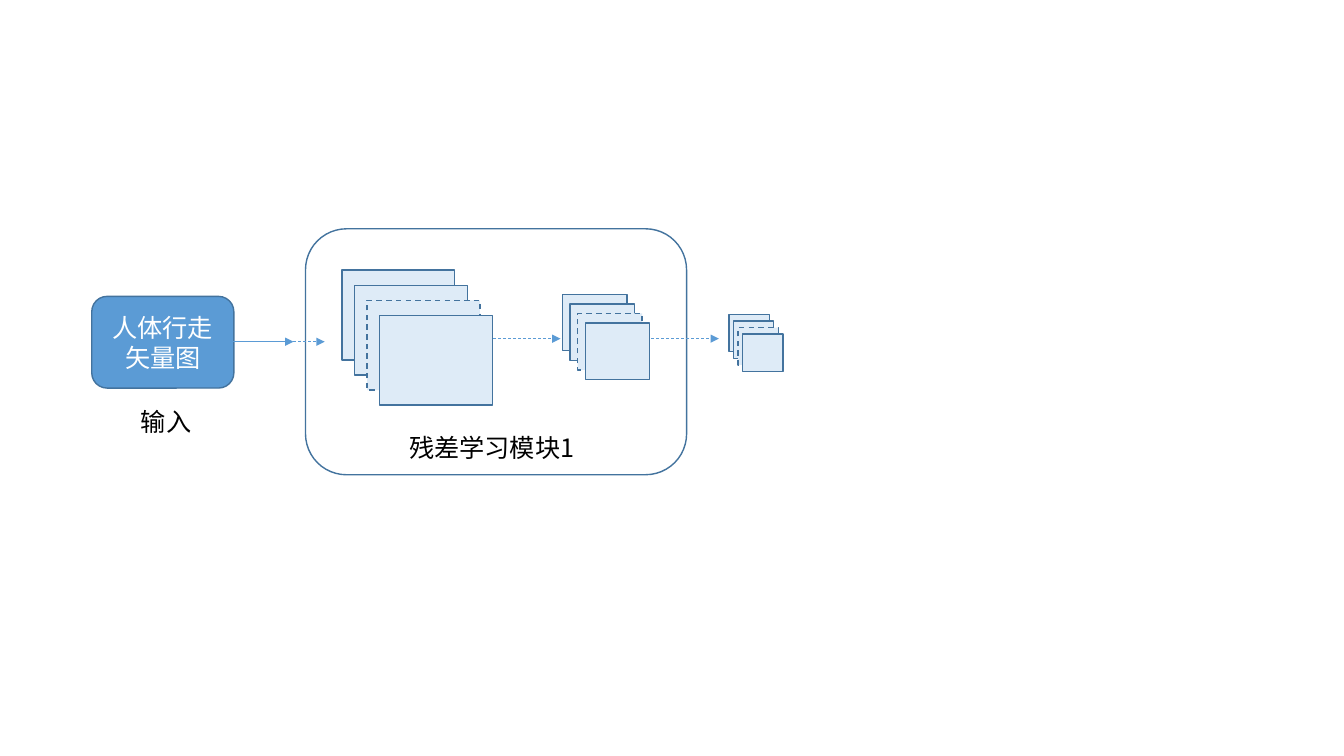
import pptx
import pptx.util
import pptx.dml.color
import pptx.enum.dml
import pptx.enum.shapes
import pptx.enum.text
import pptx.oxml
import pptx.oxml.ns

Inches = pptx.util.Inches
Pt = pptx.util.Pt
SHAPE = pptx.enum.shapes.MSO_SHAPE
DASH = pptx.enum.dml.MSO_LINE.DASH
FONT = "Noto Sans CJK SC"
COLORS = {"input": "5B9BD5", "outline": "43739E", "map": "DEEBF7",
          "arrow": "5B9BD5", "white": "FFFFFF", "black": "000000"}


def add_box(parent, kind, box, fill):
    shape = parent.add_shape(kind, *map(Inches, box))
    shape.shadow.inherit = False
    shape.fill.solid()
    shape.fill.fore_color.rgb = pptx.dml.color.RGBColor.from_string(COLORS[fill])
    shape.line.color.rgb = pptx.dml.color.RGBColor.from_string(COLORS["outline"])
    shape.line.width = Pt(1)
    return shape


def write(shape, text, color):
    """Put one 18 pt paragraph in the shape, with the font for Chinese too."""
    shape.text_frame.word_wrap = True
    shape.text_frame.text = text
    font = shape.text_frame.paragraphs[0].runs[0].font
    font.size = Pt(18)
    font.name = FONT
    font.color.rgb = pptx.dml.color.RGBColor.from_string(COLORS[color])
    east_asian = pptx.oxml.parse_xml(
        f'<a:ea {pptx.oxml.ns.nsdecls("a")} typeface="{FONT}"/>')
    font._element.find(pptx.oxml.ns.qn("a:latin")).addnext(east_asian)


prs = pptx.Presentation()
prs.slide_width = Inches(13.33)
prs.slide_height = Inches(7.5)
slide = prs.slides.add_slide(prs.slide_layouts[6])
shapes = slide.shapes

# Input and residual module
walk_vector = add_box(shapes, SHAPE.ROUNDED_RECTANGLE, (0.91, 2.94, 1.41, 0.91), "input")
write(walk_vector, "人体行走矢量图", "white")
walk_vector.text_frame.vertical_anchor = pptx.enum.text.MSO_ANCHOR.MIDDLE
walk_vector.text_frame.paragraphs[0].alignment = pptx.enum.text.PP_ALIGN.CENTER
add_box(shapes, SHAPE.ROUNDED_RECTANGLE, (3.03, 2.27, 3.78, 2.44), "white")

# Stacks of four feature maps, the third one dashed
for left, top, width, height, step_x, step_y in [
    (3.39, 2.68, 1.12, 0.89, 0.125, 0.15),
    (5.58, 2.92, 0.64, 0.56, 0.075, 0.095),
    (7.23, 3.12, 0.40, 0.37, 0.045, 0.065),
]:
    stack = shapes.add_group_shape()
    for i in range(4):
        feature_map = add_box(stack.shapes, SHAPE.RECTANGLE,
                              (left + i * step_x, top + i * step_y, width, height), "map")
        if i == 2:
            feature_map.line.dash_style = DASH

# Arrows
for start, end, y, dashed in [
    (2.31, 2.91, 3.39, False),
    (2.56, 3.22, 3.39, True),
    (4.89, 5.56, 3.36, True),
    (6.46, 7.13, 3.36, True),
]:
    arrow = shapes.add_connector(pptx.enum.shapes.MSO_CONNECTOR.STRAIGHT,
                                 Inches(start), Inches(y), Inches(end), Inches(y))
    arrow.line.color.rgb = pptx.dml.color.RGBColor.from_string(COLORS["arrow"])
    arrow.line.width = Pt(0.5)
    if dashed:
        arrow.line.dash_style = DASH
    namespace = pptx.oxml.ns.nsdecls("a")
    arrow.line._get_or_add_ln().append(
        pptx.oxml.parse_xml(f'<a:tailEnd {namespace} type="triangle"/>'))
    arrow._element.spPr.append(pptx.oxml.parse_xml(f"<a:effectLst {namespace}/>"))

# Captions
for caption, left, top, width in [
    ("输入", 1.3, 3.98, 0.88),
    ("残差学习模块1", 3.96, 4.24, 2.03),
]:
    label = shapes.add_textbox(Inches(left), Inches(top), Inches(width), Inches(0.4))
    write(label, caption, "black")
    label.text_frame.auto_size = pptx.enum.text.MSO_AUTO_SIZE.SHAPE_TO_FIT_TEXT

prs.save("out.pptx")
